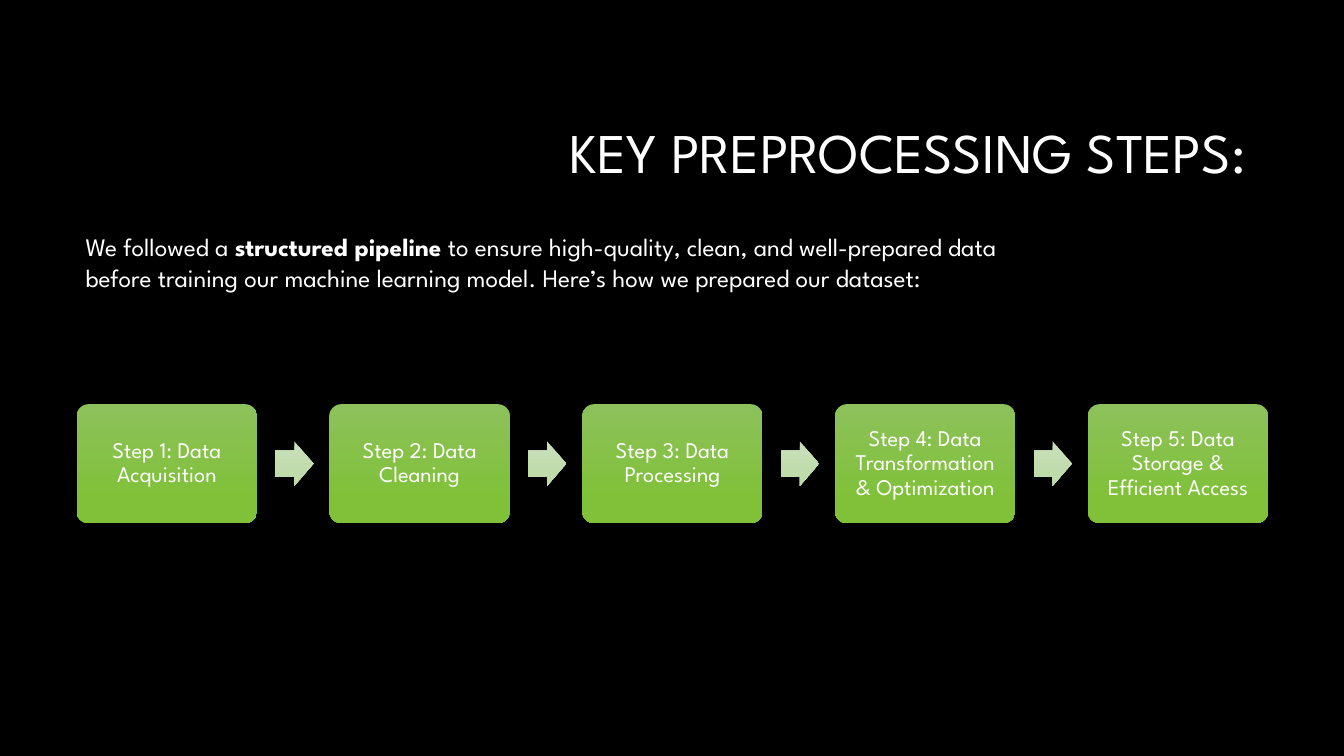
from pptx import Presentation
from pptx.dml.color import RGBColor
from pptx.enum.shapes import MSO_SHAPE
from pptx.enum.text import MSO_ANCHOR, PP_ALIGN
from pptx.util import Inches, Pt

FONT = "League Spartan"
COLORS = {
    "background": "000000",
    "text": "FFFFFF",
    "step_top": "8DC15B",
    "step_bottom": "80C139",
    "arrow_top": "CAE0BB",
    "arrow_bottom": "BEDBAA",
}
STEPS = [
    "Step 1: Data Acquisition",
    "Step 2: Data Cleaning",
    "Step 3: Data Processing",
    "Step 4: Data Transformation & Optimization",
    "Step 5: Data Storage & Efficient Access",
]
STEP_LEFT, STEP_TOP, STEP_WIDTH, STEP_HEIGHT = 0.76, 4.01, 1.79, 1.18
STEP_PITCH = 2.507
ARROW_OFFSET, ARROW_WIDTH, ARROW_HEIGHT = 1.97, 0.38, 0.44


def color(name):
    return RGBColor.from_string(COLORS[name])


def write_text(frame, runs, size, align, line_spacing=1.0):
    """Fill the frame's first paragraph with (text, bold) runs."""
    frame.word_wrap = True
    paragraph = frame.paragraphs[0]
    paragraph.alignment = align
    paragraph.line_spacing = line_spacing
    for text, bold in runs:
        run = paragraph.add_run()
        run.text = text
        run.font.name = FONT
        run.font.size = Pt(size)
        run.font.bold = bold
        run.font.color.rgb = color("text")


def add_text(slide, box, runs, size, align, anchor, line_spacing=1.0):
    frame = slide.shapes.add_textbox(*map(Inches, box)).text_frame
    frame.vertical_anchor = anchor
    write_text(frame, runs, size, align, line_spacing)


def add_gradient_shape(slide, preset, box, adjustments, name):
    """Add a borderless shape shaded downwards from its top to its bottom colour."""
    shape = slide.shapes.add_shape(preset, *map(Inches, box))
    shape.shadow.inherit = False
    shape.line.fill.background()
    for index, value in enumerate(adjustments):
        shape.adjustments[index] = value
    shape.fill.gradient()
    shape.fill.gradient_angle = 270
    top, bottom = shape.fill.gradient_stops
    top.position, bottom.position = 0, 0.78
    top.color.rgb = color(f"{name}_top")
    bottom.color.rgb = color(f"{name}_bottom")
    return shape


def add_step(slide, left, label):
    box = (left, STEP_TOP, STEP_WIDTH, STEP_HEIGHT)
    step = add_gradient_shape(slide, MSO_SHAPE.ROUNDED_RECTANGLE, box, [0.1], "step")
    frame = step.text_frame
    frame.vertical_anchor = MSO_ANCHOR.MIDDLE
    frame.margin_left = frame.margin_right = Inches(0.07)
    frame.margin_top = frame.margin_bottom = Inches(0.07)
    write_text(frame, [(label, False)], 16, PP_ALIGN.CENTER, 0.9)


def add_arrow(slide, left):
    top = STEP_TOP + (STEP_HEIGHT - ARROW_HEIGHT) / 2
    box = (left, top, ARROW_WIDTH, ARROW_HEIGHT)
    add_gradient_shape(slide, MSO_SHAPE.RIGHT_ARROW, box, [0.6, 0.5], "arrow")


def main():
    presentation = Presentation()
    presentation.slide_width = Inches(13.33)
    presentation.slide_height = Inches(7.5)
    slide = presentation.slides.add_slide(presentation.slide_layouts[6])
    background = slide.background.fill
    background.solid()
    background.fore_color.rgb = color("background")

    add_text(slide, (3.17, 0.84, 9.42, 1.41), [("KEY PREPROCESSING STEPS: ", False)],
             40, PP_ALIGN.RIGHT, MSO_ANCHOR.MIDDLE, 0.9)
    introduction = [
        ("We followed a ", False),
        ("structured pipeline", True),
        (" to ensure high-quality, clean, and well-prepared data before training "
         "our machine learning model. Here’s how we prepared our dataset:", False),
    ]
    add_text(slide, (0.75, 2.25, 9.25, 1.01), introduction,
             18, PP_ALIGN.LEFT, MSO_ANCHOR.TOP)

    for index, label in enumerate(STEPS):
        left = STEP_LEFT + index * STEP_PITCH
        add_step(slide, left, label)
        if index < len(STEPS) - 1:
            add_arrow(slide, left + ARROW_OFFSET)

    presentation.save("out.pptx")


if __name__ == "__main__":
    main()
